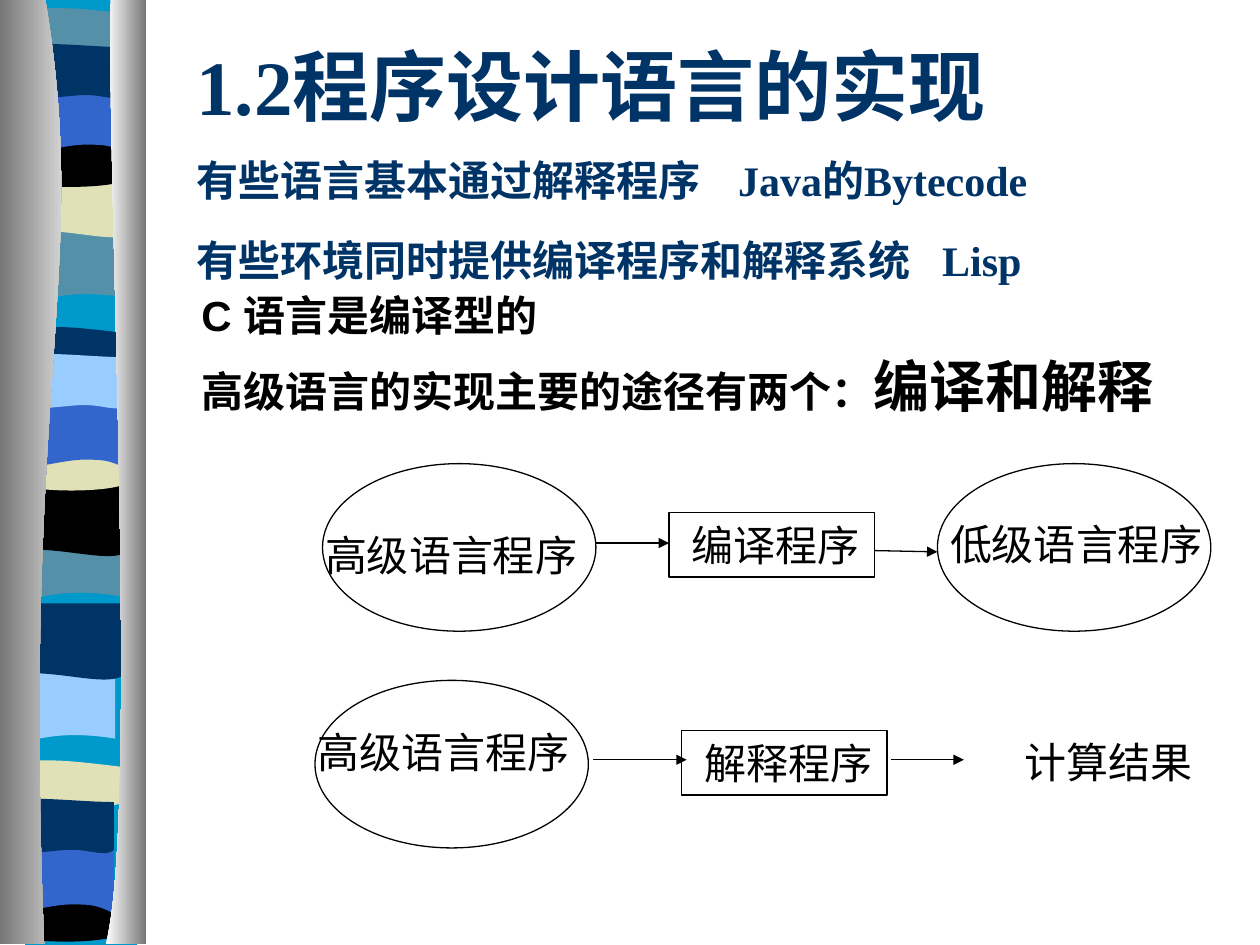
from dataclasses import dataclass

from lxml import etree
from pptx import Presentation
from pptx import util as u
from pptx.dml.color import RGBColor
from pptx.enum import shapes, text
from pptx.oxml.ns import qn

COLORS = {"teal": "0099CC", "steel": "5490A8", "sand": "E1E1B7", "black": "000000",
          "blue": "3366CC", "navy": "003366", "sky": "99CCFF", "gray": "767676", "white": "FFFFFF"}
SERIF, SANS = "Times New Roman", "Arial"
BAND_STRETCH = (0.81, 1.22)


@dataclass(frozen=True)
class Wave:
    """Outline of a ribbon band: pairs are corners, sextuples are curves."""
    height: float
    outline: tuple


@dataclass(frozen=True)
class Band:
    """One coloured band of the ribbon."""
    wave: str
    color: str
    left: float
    top: float


@dataclass(frozen=True)
class Label:
    """Single-line label; boxed labels have a border."""
    words: str
    left: float
    top: float
    width: float
    boxed: bool = False


@dataclass(frozen=True)
class Line:
    """Paragraph made of (words, size) runs."""
    runs: tuple
    before: float = 0
    tab: float = 0


WAVES = {
    "dip": Wave(0.55, ((1.08, 0), (1.08, 0.47), (0.34, 0.39, 0.19, 0.55, 0, 0.47), (0, 0))),
    "roll": Wave(0.55, ((1.08, 0), (1.08, 0.47), (0.9, 0.55, 0.33, 0.41, 0, 0.47), (0, 0))),
    "slab": Wave(0.33, ((1.08, 0.05), (1.08, 0.29), (0.9, 0.33, 0.18, 0.33, 0, 0.29), (0, 0.05),
                        (0.07, 0, 0.24, 0.01, 0.42, 0.01), (0.6, 0.01, 0.95, 0.04, 1.08, 0.05))),
    "swell": Wave(0.38, ((1.08, 0), (1.08, 0.32), (0.9, 0.38, 0.18, 0.38, 0, 0.32), (0, 0),
                         (0.67, 0.05, 0.86, 0, 1.08, 0))),
    "arch": Wave(0.47, ((1.08, 0), (1.08, 0.47), (0.91, 0.41, 0.84, 0.41, 0.66, 0.41),
                        (0.48, 0.41, 0.16, 0.47, 0, 0.47), (0, 0))),
    "crest": Wave(0.41, ((1.08, 0.05), (1.08, 0.36), (1.01, 0.41, 0.85, 0.36, 0.67, 0.36),
                         (0.49, 0.36, 0.11, 0.41, 0, 0.36), (0, 0.05),
                         (0.15, 0, 0.74, 0.05, 1.08, 0.05))),
}
BANDS = (
    Band("dip", "steel", 0.13, 1.85), Band("roll", "sand", 0.18, 1.34),
    Band("slab", "steel", 0.18, 0.09), Band("swell", "black", 0.13, 1.08),
    Band("arch", "blue", 0.14, 0.7), Band("crest", "navy", 0.14, 0.36),
    Band("dip", "steel", 0.08, 4.22), Band("roll", "black", 0.13, 3.87),
    Band("slab", "navy", 0.13, 2.62), Band("swell", "sand", 0.13, 3.49),
    Band("arch", "blue", 0.13, 3.2), Band("crest", "sky", 0.13, 2.82),
    Band("dip", "sky", 0.04, 5.35), Band("roll", "navy", 0.1, 4.85),
    Band("slab", "sand", 0.08, 6.06), Band("swell", "black", 0.08, 7.07),
    Band("arch", "blue", 0.03, 6.73), Band("crest", "navy", 0.03, 6.35),
)
PILLARS = (
    (((0.36, 0), (0.72, 2.16, 0.17, 2.96, 0.35, 7.49), (0, 7.49), (0, 0)), ("gray", "white")),
    (((0.88, 0), (0.84, 1.25, 1.11, 6.46, 0.84, 7.49), (1.16, 7.49), (1.16, 0)), ("white", "gray")),
)
TITLE = (
    Line((("1.2程序设计语言的实现", 44),)),
    Line((("有些语言基本通过解释程序\tJava的Bytecode", 24),), 13.5, 4.3),
    Line((("有些环境同时提供编译程序和解释系统\tLisp", 24),), 16.5, 5.92),
)
BODY = (
    Line((("C 语言是编译型的", 24),)),
    Line((("高级语言的实现主要的途径有两个：", 24), ("编译和解释", 32)), 6.4),
)
ELLIPSES = ((7.44, 3.68), (2.56, 3.68), (2.5, 5.4))
LABELS = (
    Label("编译程序", 5.31, 4.07, 1.63, True), Label("低级语言程序", 7.44, 4.07, 2.2),
    Label("高级语言程序", 2.48, 4.15, 2.2), Label("高级语言程序", 2.42, 5.72, 2.2),
    Label("解释程序", 5.41, 5.8, 1.63, True), Label("计算结果", 8.03, 5.8, 1.53),
)
ARROWS = ((4.73, 4.31, 5.31, 4.31), (6.94, 4.37, 7.44, 4.38),
          (4.71, 6.03, 5.45, 6.03), (7.07, 6.03, 7.65, 6.03))


def rgb(name: str) -> RGBColor:
    """Look up a named colour."""
    return RGBColor.from_string(COLORS[name])


def draw_outline(slide, outline: tuple, origin: tuple = (0, 0), stretch: tuple = (1, 1)):
    """Draw a closed borderless outline of corners and cubic curves."""
    points = [tuple(u.Inches(start + value * factor)
                    for start, value, factor in zip(origin, segment[i:i + 2], stretch))
              for segment in outline for i in range(0, len(segment), 2)]
    builder = slide.shapes.build_freeform(*points[0])
    builder.add_line_segments(points[1:], close=True)
    shape = builder.convert_to_shape()
    sides = iter(list(shape._element.iter(qn("a:lnTo"))))
    for segment in outline[1:]:
        group = [next(sides) for _ in range(len(segment) // 2)]
        if len(group) == 3:
            curve = etree.Element(qn("a:cubicBezTo"))
            group[0].addprevious(curve)
            for side in group:
                curve.append(side[0])
                side.getparent().remove(side)
    shape.shadow.inherit = False
    shape.line.fill.background()
    return shape


def draw_band(slide, band: Band) -> None:
    """Draw a wave stretched about its middle."""
    wave = WAVES[band.wave]
    top = band.top + wave.height / 2 * (1 - BAND_STRETCH[1])
    fill = draw_outline(slide, wave.outline, (band.left, top), BAND_STRETCH).fill
    fill.solid()
    fill.fore_color.rgb = rgb(band.color)


def draw_pillar(slide, outline: tuple, ends: tuple) -> None:
    """Draw a grey pillar shaded from left to right."""
    fill = draw_outline(slide, outline).fill
    fill.gradient()
    fill.gradient_angle = 0
    for position, (stop, color) in enumerate(zip(fill.gradient_stops, ends)):
        stop.position = position
        stop.color.rgb = rgb(color)


def add_shape(slide, kind, left: float, top: float, width: float, height: float):
    """Add an unfilled shape with a thin black border."""
    shape = slide.shapes.add_shape(kind, *map(u.Inches, (left, top, width, height)))
    shape.shadow.inherit = False
    shape.fill.background()
    shape.line.color.rgb = rgb("black")
    shape.line.width = u.Pt(0.75)
    return shape


def add_run(paragraph, words: str, size: float, font: str, color: str, bold: bool) -> None:
    """Add one formatted run."""
    run = paragraph.add_run()
    run.text = words
    run.font.size, run.font.name, run.font.bold = u.Pt(size), font, bold
    run.font.color.rgb = rgb(color)


def draw_lines(slide, box: tuple, lines: tuple, font: str, color: str) -> None:
    """Draw a wrapped text box of bold paragraphs."""
    frame = slide.shapes.add_textbox(*map(u.Inches, box)).text_frame
    frame.word_wrap = True
    for index, line in enumerate(lines):
        paragraph = frame.add_paragraph() if index else frame.paragraphs[0]
        if line.tab:
            tabs = etree.SubElement(paragraph._p.get_or_add_pPr(), qn("a:tabLst"))
            etree.SubElement(tabs, qn("a:tab"), pos=str(u.Inches(line.tab)), algn="l")
        paragraph.space_before = u.Pt(line.before)
        for words, size in line.runs:
            add_run(paragraph, words, size, font, color, True)


def draw_label(slide, label: Label) -> None:
    """Draw a diagram label."""
    box = (label.left, label.top, label.width, 0.51 if label.boxed else 0.5)
    if label.boxed:
        shape = add_shape(slide, shapes.MSO_SHAPE.RECTANGLE, *box)
    else:
        shape = slide.shapes.add_textbox(*map(u.Inches, box))
    frame = shape.text_frame
    frame.word_wrap = False
    frame.vertical_anchor = text.MSO_ANCHOR.TOP
    paragraph = frame.paragraphs[0]
    paragraph.alignment = text.PP_ALIGN.LEFT if label.boxed else text.PP_ALIGN.CENTER
    if label.boxed:
        frame.margin_left = u.Inches(0.18)
    add_run(paragraph, label.words, 24, SERIF, "black", False)


def draw_arrow(slide, ends: tuple) -> None:
    """Draw a thin arrow."""
    arrow = slide.shapes.add_connector(shapes.MSO_CONNECTOR.STRAIGHT, *map(u.Inches, ends))
    arrow.line.color.rgb = rgb("black")
    arrow.line.width = u.Pt(0.75)
    etree.SubElement(arrow.line._get_or_add_ln(), qn("a:tailEnd"), type="triangle")
    etree.SubElement(arrow._element.spPr, qn("a:effectLst"))


def main() -> None:
    """Build the slide."""
    presentation = Presentation()
    presentation.slide_width, presentation.slide_height = u.Inches(10), u.Inches(7.5)
    slide = presentation.slides.add_slide(presentation.slide_layouts[6])
    backdrop = draw_outline(slide, ((0.2, 0), (1.09, 0), (1.09, 7.5), (0.2, 7.5)))
    backdrop.fill.solid()
    backdrop.fill.fore_color.rgb = rgb("teal")
    for band in BANDS:
        draw_band(slide, band)
    for outline, ends in PILLARS:
        draw_pillar(slide, outline, ends)
    draw_lines(slide, (1.46, 0.26, 8.33, 2.05), TITLE, SERIF, "navy")
    draw_lines(slide, (1.5, 2.25, 8.5, 1.18), BODY, SANS, "black")
    for left, top in ELLIPSES:
        add_shape(slide, shapes.MSO_SHAPE.OVAL, left, top, 2.17, 1.33)
    for label in LABELS:
        draw_label(slide, label)
    for ends in ARROWS:
        draw_arrow(slide, ends)
    presentation.save("out.pptx")


if __name__ == "__main__":
    main()
